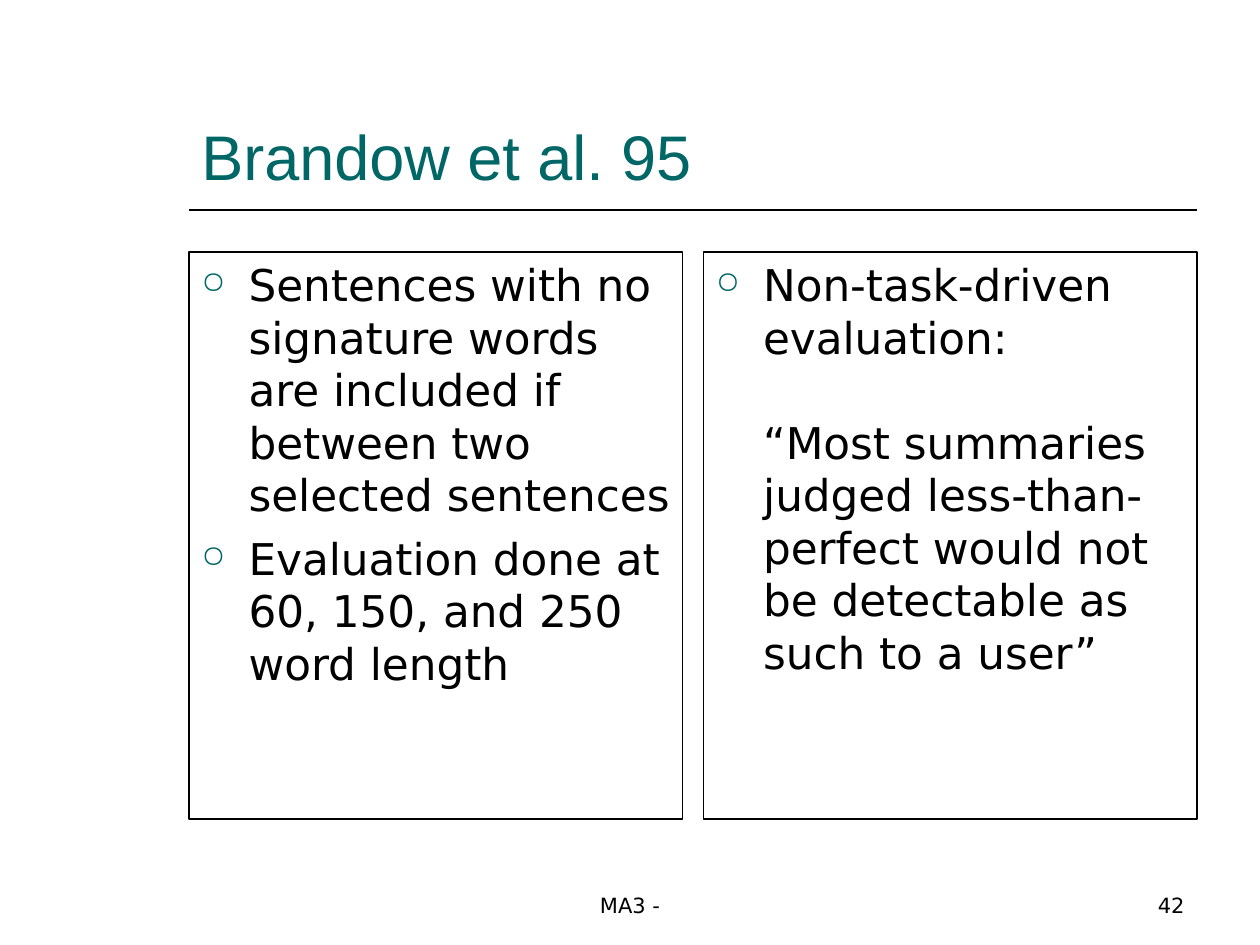
from lxml.etree import SubElement
from pptx import Presentation
from pptx.dml.color import RGBColor as RGB
from pptx.enum.shapes import MSO_CONNECTOR as Link, MSO_SHAPE as Kind
from pptx.enum.text import MSO_ANCHOR as Anchor, PP_ALIGN as Align
from pptx.oxml.ns import qn
from pptx.util import Pt

TEAL = RGB(0x00, 0x66, 0x66)
BLACK = RGB(0x00, 0x00, 0x00)
SANS = "DejaVu Sans"
LEFT, RIGHT = 108, 684
WIDE = 282  # width of one column


def write(para, text, size, font, color):
    run = para.add_run()
    run.text = text
    run.font.size = Pt(size)
    run.font.name = font
    run.font.color.rgb = color


def indent(para, mark):
    """Give the paragraph a hanging indent, with a ring bullet if mark is true."""
    props = para._p.get_or_add_pPr()
    props.set("marL", str(Pt(27)))
    props.set("indent", str(Pt(-27 if mark else 0)))
    if not mark:
        SubElement(props, qn("a:buNone"))
        return
    tint = SubElement(props, qn("a:buClr"))
    SubElement(tint, qn("a:srgbClr"), val=str(TEAL))
    SubElement(props, qn("a:buSzPct"), val="70000")
    SubElement(props, qn("a:buChar"), char="○")


deck = Presentation()
deck.slide_width, deck.slide_height = Pt(720), Pt(540)
slide = deck.slides.add_slide(deck.slide_layouts[6])
shapes = slide.shapes

# Rule under the title
rule = shapes.add_connector(Link.STRAIGHT, Pt(LEFT), Pt(120), Pt(RIGHT), Pt(120))
rule.line.color.rgb = BLACK
rule.line.width = Pt(1)
SubElement(rule._element.spPr, qn("a:effectLst"))

# Title and footer: text, left, top, width, height, size, font, colour, alignment
labels = [
    ("Brandow et al. 95", LEFT, 24, 576, 90, 36, "Arial", TEAL, Align.LEFT),
    ("MA3 -", 246, 492, 228, 36, 12, SANS, BLACK, Align.CENTER),
    ("42", 516, 492, 168, 36, 12, SANS, BLACK, Align.RIGHT),
]
for text, left, top, width, height, size, font, color, align in labels:
    box = shapes.add_textbox(Pt(left), Pt(top), Pt(width), Pt(height))
    frame = box.text_frame
    frame.word_wrap = True
    frame.vertical_anchor = Anchor.BOTTOM
    para = frame.paragraphs[0]
    para.alignment = align
    write(para, text, size, font, color)

# Two columns; each paragraph: text, bullet, space before
columns = [
    (LEFT, [
        ("Sentences with no signature words are included if between two "
         "selected sentences", True, 0),
        ("Evaluation done at 60, 150, and 250 word length", True, 6.2),
    ]),
    (RIGHT - WIDE, [
        ("Non-task-driven evaluation:", True, 0),
        ("“Most summaries judged less-than-perfect would not be detectable "
         "as such to a user”", False, 30),
    ]),
]
for left, items in columns:
    box = shapes.add_shape(Kind.RECTANGLE, Pt(left), Pt(144), Pt(WIDE), Pt(324))
    box.shadow.inherit = False
    box.fill.background()
    box.line.color.rgb = BLACK
    box.line.width = Pt(0.75)
    frame = box.text_frame
    frame.word_wrap = True
    frame.vertical_anchor = Anchor.TOP
    frame.margin_right = Pt(6)
    for i, (text, mark, gap) in enumerate(items):
        para = frame.add_paragraph() if i else frame.paragraphs[0]
        indent(para, mark)
        para.alignment = Align.LEFT
        para.space_before = Pt(gap)
        write(para, text, 25, SANS, BLACK)

deck.save("out.pptx")
